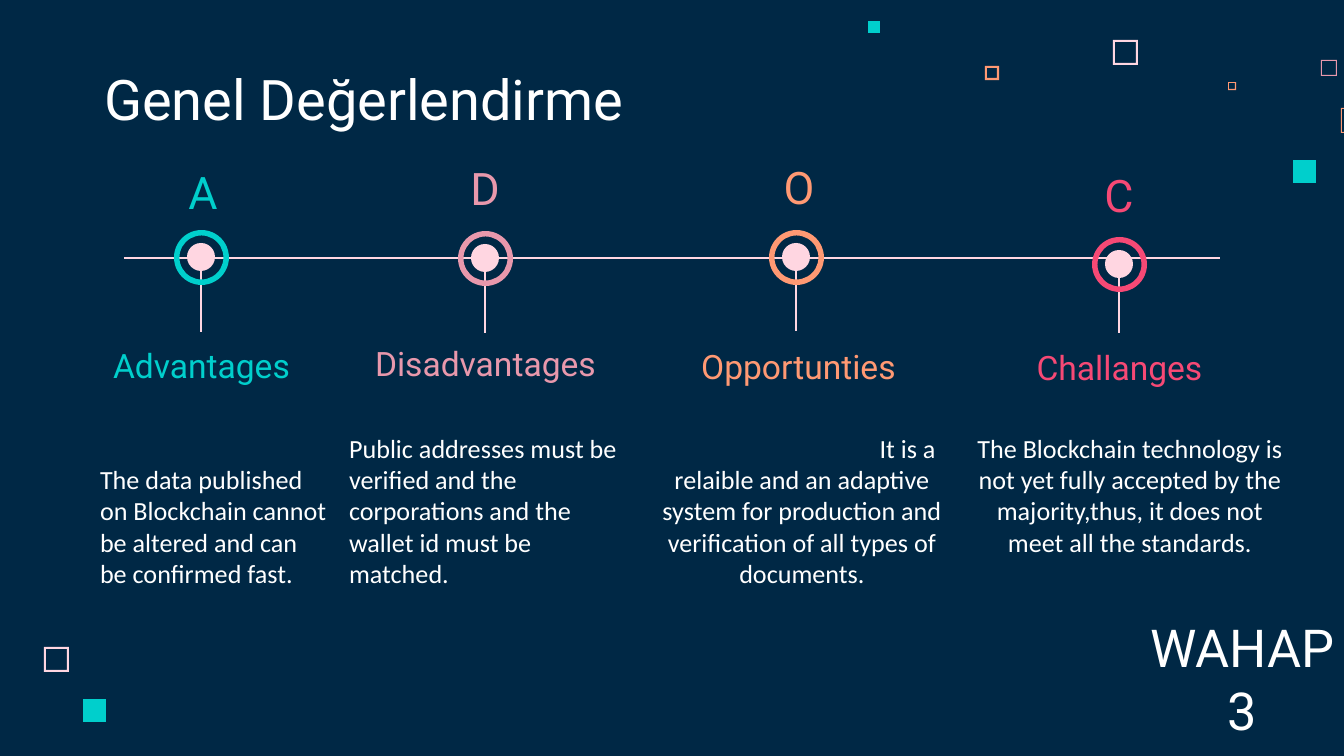
from dataclasses import dataclass

from lxml.etree import SubElement
from pptx import Presentation
from pptx.dml.color import RGBColor
from pptx.enum.shapes import MSO_CONNECTOR, MSO_SHAPE
from pptx.enum.text import MSO_ANCHOR, PP_ALIGN
from pptx.oxml.ns import qn
from pptx.shapes.autoshape import Shape
from pptx.slide import Slide
from pptx.util import Emu, Pt

EMU_PER_PX = 914400 / 134.4

NAVY = RGBColor(0x00, 0x28, 0x45)
WHITE = RGBColor(0xFF, 0xFF, 0xFF)
BLUSH = RGBColor(0xFF, 0xD6, 0xE1)
TEAL = RGBColor(0x00, 0xCF, 0xCC)
ROSE = RGBColor(0xE8, 0x98, 0xAC)
ORANGE = RGBColor(0xFF, 0x99, 0x73)
RED = RGBColor(0xF6, 0x49, 0x75)

TOP, MIDDLE, BOTTOM = MSO_ANCHOR.TOP, MSO_ANCHOR.MIDDLE, MSO_ANCHOR.BOTTOM
LEFT, CENTER = PP_ALIGN.LEFT, PP_ALIGN.CENTER

INSET = 13
RING, DOT = 55, 28
LETTER_SIZE = (190, 63)
HEADING_SIZE = (277, 63)


@dataclass(frozen=True)
class Square:
    left: int
    top: int
    side: int
    color: RGBColor
    border: int = 0  # 0 means solid


@dataclass(frozen=True)
class Body:
    text: str
    area: tuple[int, int, int, int]
    anchor: MSO_ANCHOR
    align: PP_ALIGN
    indent: int = 0
    space_after: int = 0


@dataclass(frozen=True)
class Milestone:
    letter: str
    letter_at: tuple[int, int]
    heading: str
    heading_at: tuple[int, int]
    heading_anchor: MSO_ANCHOR
    color: RGBColor
    center: tuple[int, int]
    stem: tuple[int, int]
    body: Body


SQUARES = [
    Square(1113, 40, 25, BLUSH, 2),
    Square(1321, 60, 16, ROSE, 1),
    Square(1228, 82, 8, ORANGE, 1),
    Square(1341, 108, 25, ORANGE, 1),
    Square(1293, 160, 23, TEAL),
    Square(985, 66, 14, ORANGE, 2),
    Square(868, 21, 12, TEAL),
    Square(44, 647, 25, BLUSH, 2),
    Square(83, 699, 23, TEAL),
]

MILESTONES = [
    Milestone("A", (108, 160), "Advantages", (63, 332), TOP, TEAL, (201, 257), (255, 332),
              Body("The data published on Blockchain cannot be altered and can be "
                   "confirmed fast.", (87, 430, 253, 172), BOTTOM, LEFT)),
    Milestone("D", (390, 156), "Disadvantages", (347, 333), BOTTOM, ROSE, (485, 258), (271, 333),
              Body("Public addresses must be verified and the corporations and the "
                   "wallet id must be matched.", (336, 419, 310, 184), TOP, LEFT,
                   space_after=16)),
    Milestone("O", (704, 155), "Opportunties", (660, 333), TOP, ORANGE, (796, 257), (265, 331),
              Body("It is a relaible and an adaptive system for production and "
                   "verification of all types of documents.", (647, 469, 310, 133), BOTTOM,
                   CENTER, indent=211)),
    Milestone("C", (1024, 163), "Challanges", (981, 337), BOTTOM, RED, (1119, 264), (266, 333),
              Body("The Blockchain technology is not yet fully accepted by the "
                   "majority,thus, it does not meet all the standards.",
                   (958, 419, 344, 183), TOP, CENTER, space_after=16)),
]


def px(length: float) -> Emu:
    return Emu(round(length * EMU_PER_PX))


def paint(shape: Shape, color: RGBColor) -> None:
    """Give a plain fill with no outline and no shadow."""
    shape.shadow.inherit = False
    shape.fill.solid()
    shape.fill.fore_color.rgb = color
    shape.line.fill.background()


def draw_square(page: Slide, square: Square) -> None:
    x, y, side, border = square.left, square.top, square.side, square.border
    right, bottom = x + side, y + side
    outline = page.shapes.build_freeform(x, y, scale=EMU_PER_PX)
    outline.add_line_segments([(x, bottom), (right, bottom), (right, y)], close=True)
    if border:  # the hole runs the opposite way round
        x, y, right, bottom = x + border, y + border, right - border, bottom - border
        outline.move_to(x, y)
        outline.add_line_segments([(right, y), (right, bottom), (x, bottom)], close=True)
    paint(outline.convert_to_shape(), square.color)


def draw_line(page: Slide, x1: int, y1: int, x2: int, y2: int) -> None:
    line = page.shapes.add_connector(MSO_CONNECTOR.STRAIGHT, px(x1), px(y1), px(x2), px(y2))
    line.line.color.rgb = BLUSH
    line.line.width = Pt(1.5)
    SubElement(line._element.spPr, qn("a:effectLst"))


def draw_round(page: Slide, kind: MSO_SHAPE, center: tuple[int, int], size: int,
               color: RGBColor) -> Shape:
    left, top = (middle - size // 2 for middle in center)
    shape = page.shapes.add_shape(kind, px(left), px(top), px(size), px(size))
    paint(shape, color)
    return shape


def add_text(page: Slide, text: str, area: tuple[int, int, int, int], *, size: int,
             color: RGBColor = WHITE, font: str = "Roboto", anchor: MSO_ANCHOR = BOTTOM,
             align: PP_ALIGN = CENTER, indent: int = 0, space_after: int = 0) -> None:
    box = page.shapes.add_textbox(*map(px, area))
    frame = box.text_frame
    frame.word_wrap = True
    frame.vertical_anchor = anchor
    frame.margin_left = frame.margin_right = px(INSET)
    frame.margin_top = frame.margin_bottom = px(INSET)
    para = frame.paragraphs[0]
    para.alignment = align
    para.space_after = Pt(space_after)
    if indent:
        para._p.get_or_add_pPr().set("indent", str(px(indent)))
    span = para.add_run()
    span.text = text
    span.font.name = font
    span.font.size = Pt(size)
    span.font.color.rgb = color


def draw_marker(page: Slide, milestone: Milestone) -> None:
    draw_round(page, MSO_SHAPE.OVAL, milestone.center, DOT, BLUSH)
    ring = draw_round(page, MSO_SHAPE.DONUT, milestone.center, RING, milestone.color)
    ring.adjustments[0] = 0.1


def write_milestone(page: Slide, milestone: Milestone) -> None:
    add_text(page, milestone.letter, milestone.letter_at + LETTER_SIZE, size=24,
             color=milestone.color, anchor=MIDDLE)
    add_text(page, milestone.heading, milestone.heading_at + HEADING_SIZE, size=18,
             color=milestone.color, anchor=milestone.heading_anchor)
    body = milestone.body
    add_text(page, body.text, body.area, size=14, font="Calibri", anchor=body.anchor,
             align=body.align, indent=body.indent, space_after=body.space_after)


def main() -> None:
    deck = Presentation()
    deck.slide_width, deck.slide_height = px(1344), px(756)
    page = deck.slides.add_slide(deck.slide_layouts[6])
    page.background.fill.solid()
    page.background.fill.fore_color.rgb = NAVY

    for square in SQUARES:
        draw_square(page, square)
    for milestone in MILESTONES:
        x = milestone.center[0]
        start, end = milestone.stem
        draw_line(page, x, start, x, end)
    add_text(page, "Genel Değerlendirme", (91, 60, 695, 85), size=30, align=LEFT)
    draw_line(page, 124, 258, 1220, 258)
    for milestone in MILESTONES:
        draw_marker(page, milestone)
        write_milestone(page, milestone)
    add_text(page, "WAHAP3", (1137, 663, 210, 91), size=28)

    deck.save("out.pptx")


if __name__ == "__main__":
    main()
